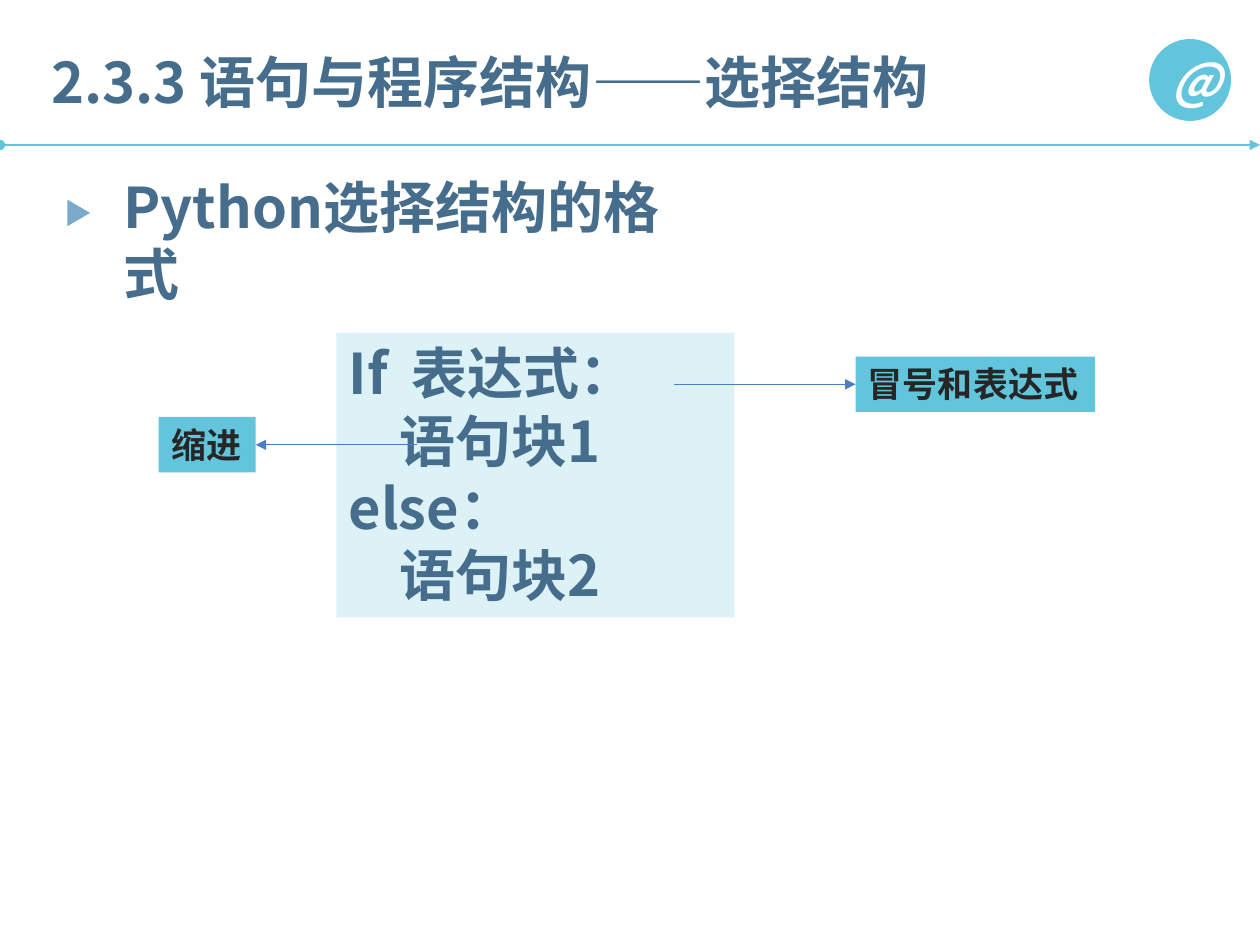
"""Build a slide on the format of the Python selection structure."""
from dataclasses import dataclass

from lxml.etree import SubElement
from pptx import Presentation
from pptx.dml.color import RGBColor
from pptx.enum.shapes import MSO_CONNECTOR, MSO_SHAPE
from pptx.enum.text import MSO_ANCHOR, PP_ALIGN
from pptx.oxml.ns import qn
from pptx.util import Inches, Pt


@dataclass(frozen=True)
class Theme:
    """Colours, font and type sizes of the slide."""

    accent: str = "62C5DC"
    panel: str = "8ED5E6"
    arrow: str = "4B7EBC"
    marker: str = "7BA9CA"
    heading: str = "466E8C"
    label: str = "262626"
    light: str = "FFFFFF"
    font: str = "Noto Sans CJK SC"
    large: int = 32
    medium: int = 28
    small: int = 20
    leading: float = 1.2
    line: float = 0.75


class SlideBuilder:
    """Draw elements on a grid of 100 columns by 75 rows."""

    columns, rows = 100, 75

    def __init__(self, presentation, theme):
        """Add a blank slide and work out the grid."""
        self.theme = theme
        self.slide = presentation.slides.add_slide(presentation.slide_layouts[6])
        self.column = presentation.slide_width / self.columns
        self.row = presentation.slide_height / self.rows

    def place(self, *lengths):
        """Turn alternating columns and rows into slide units."""
        units = (self.column, self.row) * 2
        return [round(length * unit) for length, unit in zip(lengths, units)]

    def add_lines(self, shape, lines, size, color, wrap=True, italic=False):
        """Fill a shape with lines, each given as text and left indent in columns."""
        frame = shape.text_frame
        frame.word_wrap = wrap
        frame.vertical_anchor = MSO_ANCHOR.TOP
        for index, (text, indent) in enumerate(lines):
            paragraph = frame.add_paragraph() if index else frame.paragraphs[0]
            paragraph.alignment = PP_ALIGN.LEFT
            paragraph.line_spacing = Pt(size * self.theme.leading)
            properties = paragraph._p.get_or_add_pPr()
            properties.set("marL", str(round(indent * self.column)))
            properties.set("indent", "0")
            run = paragraph.add_run()
            run.text = text
            run.font.size = Pt(size)
            run.font.bold = True
            run.font.italic = italic
            run.font.name = self.theme.font
            run.font.color.rgb = RGBColor.from_string(color)
            SubElement(run._r.get_or_add_rPr(), qn("a:ea"), typeface=self.theme.font)

    def shape(self, kind, box, color, opacity=100):
        """Add a filled preset shape without an outline."""
        shape = self.slide.shapes.add_shape(kind, *self.place(*box))
        shape.shadow.inherit = False
        shape.fill.solid()
        shape.fill.fore_color.rgb = RGBColor.from_string(color)
        shape.line.fill.background()
        if opacity < 100:
            fill = shape._element.spPr.find(qn("a:solidFill"))
            SubElement(fill[0], qn("a:alpha"), val=str(opacity * 1000))
        return shape

    def text(self, box, text):
        """Add a heading in a text box."""
        shape = self.slide.shapes.add_textbox(*self.place(*box))
        self.add_lines(shape, [(text, 0)], self.theme.large, self.theme.heading)

    def badge(self, box, text):
        """Add a round badge with a centred sign."""
        shape = self.shape(MSO_SHAPE.OVAL, box, self.theme.accent)
        self.add_lines(shape, [(text, 0)], self.theme.medium, self.theme.light, False, True)
        shape.text_frame.vertical_anchor = MSO_ANCHOR.MIDDLE
        shape.text_frame.paragraphs[0].alignment = PP_ALIGN.CENTER
        shape.text_frame.margin_right = 0

    def code(self, box, lines, tab):
        """Add the translucent code panel with one tab stop."""
        shape = self.shape(MSO_SHAPE.RECTANGLE, box, self.theme.panel, 30)
        self.add_lines(shape, lines, self.theme.large, self.theme.heading)
        properties = shape.text_frame.paragraphs[0]._p.get_or_add_pPr()
        stops = SubElement(properties, qn("a:tabLst"))
        SubElement(stops, qn("a:tab"), pos=str(round(tab * self.column)), algn="l")

    def label(self, box, text):
        """Add a rectangular label."""
        shape = self.shape(MSO_SHAPE.RECTANGLE, box, self.theme.accent)
        self.add_lines(shape, [(text, 0)], self.theme.small, self.theme.label, False)
        return shape

    def arrow(self, start, end, color, head=None, target=None, site=0):
        """Add an arrow, joined to a side of its target if there is one."""
        connector = self.slide.shapes.add_connector(
            MSO_CONNECTOR.STRAIGHT, *self.place(*start, *end))
        if target is not None:
            connector.end_connect(target, site)
        connector.line.color.rgb = RGBColor.from_string(color)
        connector.line.width = Pt(self.theme.line)
        properties = connector._element.spPr
        line = properties.find(qn("a:ln"))
        if head:
            SubElement(line, qn("a:headEnd"), type=head)
        SubElement(line, qn("a:tailEnd"), type="triangle")
        SubElement(properties, qn("a:effectLst"))


def main():
    """Compose and save the slide."""
    presentation = Presentation()
    presentation.slide_width, presentation.slide_height = Inches(10), Inches(7.5)
    theme = Theme()
    builder = SlideBuilder(presentation, theme)

    builder.arrow((0, 11.5), (100, 11.5), theme.accent, head="oval")
    builder.badge((91.2, 3.1, 6.5, 6.5), "@")
    builder.code((26.7, 26.4, 31.6, 22.6), [
        ("If\t表达式：", 0), ("语句块1", 4), ("else：", 0), ("语句块2", 4)], tab=6.2)

    indent_label = builder.label((12.6, 33.1, 7.7, 4.4), "缩进")
    builder.arrow((33.1, 35.3), (20.3, 35.3), theme.arrow, target=indent_label, site=3)
    colon_label = builder.label((67.9, 28.3, 19, 4.4), "冒号和表达式")
    builder.arrow((53.5, 30.5), (67.9, 30.5), theme.arrow, target=colon_label, site=1)

    builder.text((8.8, 13.2, 47.1, 6.4), "Python选择结构的格式")
    marker = builder.shape(MSO_SHAPE.ISOSCELES_TRIANGLE, (5.2, 16, 2.1, 1.8), theme.marker)
    marker.rotation = 90
    builder.text((3.1, 3.3, 93.2, 6.4), "2.3.3 语句与程序结构——选择结构")
    presentation.save("out.pptx")


if __name__ == "__main__":
    main()
